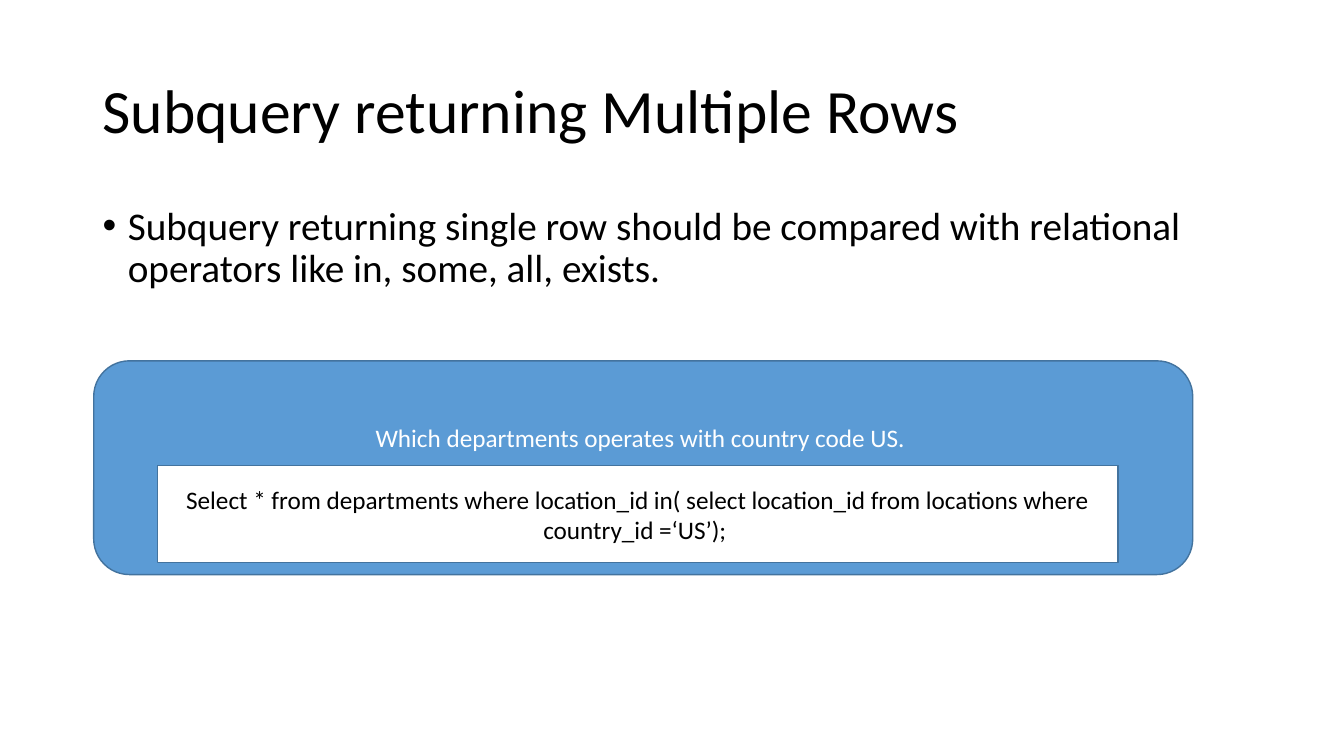
"""Builds a slide on SQL subqueries that return multiple rows."""
from dataclasses import dataclass

from pptx import Presentation
from pptx.dml.color import RGBColor
from pptx.enum.shapes import MSO_SHAPE as Preset
from pptx.enum.text import MSO_ANCHOR as Anchor, PP_ALIGN as Align
from pptx.oxml.ns import qn
from pptx.shapes.autoshape import Shape
from pptx.slide import Slide
from pptx.util import Pt
from lxml.etree import SubElement

EMU_PER_PX = 9144


@dataclass(frozen=True)
class Theme:
    font: str = "Calibri"
    black: str = "000000"
    white: str = "FFFFFF"
    blue: str = "5B9BD5"
    outline: str = "43739E"
    title_size: int = 44
    body_size: int = 28
    panel_size: int = 18


THEME = Theme()


@dataclass(frozen=True)
class TextBlock:
    box: tuple[int, int, int, int]
    text: str
    size: int
    anchor: Anchor
    space_before: int = 0
    bullet: str = ""


@dataclass(frozen=True)
class Panel:
    box: tuple[int, int, int, int]
    text: str
    preset: Preset
    fill: str
    color: str
    bottom_inset: int = 5


TEXT_BLOCKS = (
    TextBlock((92, 40, 1150, 145), "Subquery returning Multiple Rows", THEME.title_size, Anchor.MIDDLE),
    TextBlock(
        (92, 200, 1150, 476),
        "Subquery returning single row should be compared with relational operators like in, some, all, exists.",
        THEME.body_size, Anchor.TOP, space_before=10, bullet="•",
    ),
)
PANELS = (
    Panel(
        (93, 358, 1090, 212), "Which departments operates with country code US. ",
        Preset.ROUNDED_RECTANGLE, THEME.blue, THEME.white, bottom_inset=66,
    ),
    Panel(
        (156, 462, 953, 96),
        "Select * from departments where location_id in( select location_id from locations where country_id =‘US’); ",
        Preset.RECTANGLE, THEME.white, THEME.black,
    ),
)


def px(length: int) -> int:
    return length * EMU_PER_PX


def write_text(shape: Shape, text: str, size: int, color: str, frame_format: dict, line_format: dict) -> None:
    frame = shape.text_frame
    for name, value in frame_format.items():
        setattr(frame, name, value)
    line = frame.paragraphs[0]
    for name, value in line_format.items():
        setattr(line, name, value)
    run = line.add_run()
    run.text = text
    for name, value in {"name": THEME.font, "size": Pt(size)}.items():
        setattr(run.font, name, value)
    run.font.color.rgb = RGBColor.from_string(color)


def add_bullet(shape: Shape, mark: str) -> None:
    properties = shape.text_frame.paragraphs[0]._p.get_or_add_pPr()
    properties.set("marL", str(px(25)))
    properties.set("indent", str(px(-25)))
    SubElement(properties, qn("a:buFont"), typeface="Arial")
    SubElement(properties, qn("a:buChar"), char=mark)


def draw_text_block(slide: Slide, block: TextBlock) -> None:
    shape = slide.shapes.add_textbox(*map(px, block.box))
    write_text(
        shape, block.text, block.size, THEME.black,
        {"word_wrap": True, "vertical_anchor": block.anchor},
        {"line_spacing": 0.9, "space_before": Pt(block.space_before)},
    )
    if block.bullet:
        add_bullet(shape, block.bullet)


def draw_panel(slide: Slide, panel: Panel) -> None:
    shape = slide.shapes.add_shape(panel.preset, *map(px, panel.box))
    shape.shadow.inherit = False
    shape.fill.solid()
    shape.fill.fore_color.rgb = RGBColor.from_string(panel.fill)
    shape.line.color.rgb = RGBColor.from_string(THEME.outline)
    shape.line.width = Pt(1)
    write_text(
        shape, panel.text, THEME.panel_size, panel.color,
        {"word_wrap": True, "vertical_anchor": Anchor.MIDDLE, "margin_bottom": px(panel.bottom_inset)},
        {"alignment": Align.CENTER},
    )


def main() -> None:
    deck = Presentation()
    deck.slide_width, deck.slide_height = px(1333), px(750)
    slide = deck.slides.add_slide(deck.slide_layouts[6])
    for block in TEXT_BLOCKS:
        draw_text_block(slide, block)
    for panel in PANELS:
        draw_panel(slide, panel)
    deck.save("out.pptx")


if __name__ == "__main__":
    main()
